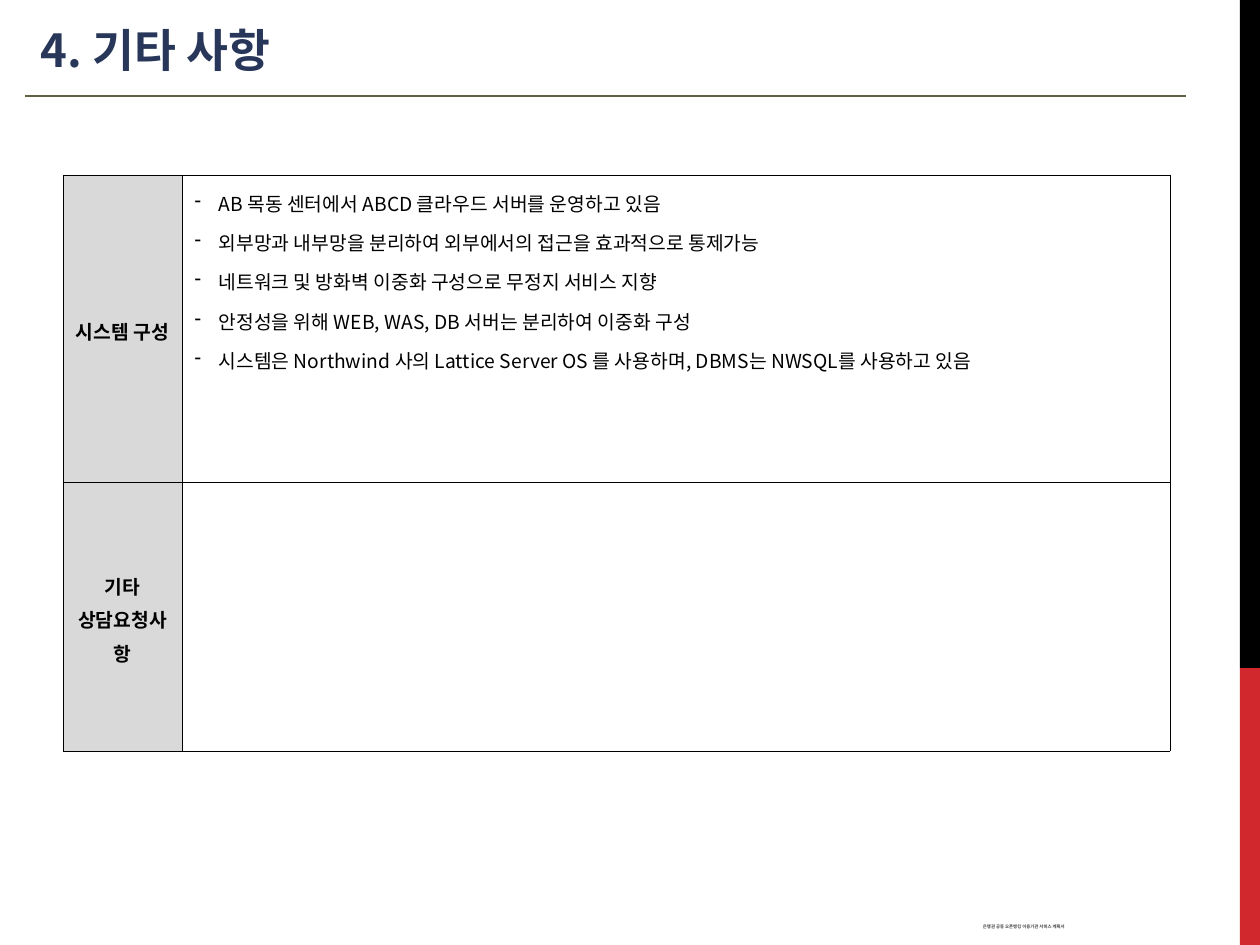
from dataclasses import dataclass

from lxml import etree
from pptx import Presentation
from pptx.dml.color import RGBColor
from pptx.enum.shapes import MSO_CONNECTOR, MSO_SHAPE
from pptx.enum.text import MSO_ANCHOR, PP_ALIGN
from pptx.oxml.ns import qn
from pptx.util import Pt

PX = 914400 // 126
TITLE_ONLY = 5
RECTANGLE = MSO_SHAPE.RECTANGLE
STRAIGHT = MSO_CONNECTOR.STRAIGHT
TOP, MIDDLE = MSO_ANCHOR.TOP, MSO_ANCHOR.MIDDLE
LEFT, CENTER, JUSTIFY = PP_ALIGN.LEFT, PP_ALIGN.CENTER, PP_ALIGN.JUSTIFY


@dataclass(frozen=True)
class Theme:
    """Colours, font and type sizes of the slide."""
    font: str = "Noto Sans CJK KR"
    navy: str = "283659"
    olive: str = "616042"
    red: str = "D1282E"
    black: str = "000000"
    white: str = "FFFFFF"
    label_fill: str = "D9D9D9"
    footer_gray: str = "404040"
    title_size: float = 26
    body_size: float = 11
    footer_size: float = 2.5
    rule_width: float = 0.75
    border_width: float = 0.45


THEME = Theme()
SYSTEM_ITEMS = [
    "AB 목동 센터에서 ABCD 클라우드 서버를 운영하고 있음",
    "외부망과 내부망을 분리하여 외부에서의 접근을 효과적으로 통제가능",
    "네트워크 및 방화벽 이중화 구성으로 무정지 서비스 지향",
    "안정성을 위해 WEB, WAS, DB 서버는 분리하여 이중화 구성",
    "시스템은 Northwind 사의 Lattice Server OS 를 사용하며, DBMS는 NWSQL를 사용하고 있음",
]
SECTIONS = [
    (["시스템 구성"], SYSTEM_ITEMS, 307),
    (["기타", "상담요청사항"], [], 269),
]
COLUMN_WIDTHS = (119, 988)


def px(*lengths):
    """Turn pixel lengths into EMU."""
    return [length * PX for length in lengths]


def rgb(color):
    """Return the colour object of a hex string."""
    return RGBColor.from_string(color)


def write(frame, lines, size=THEME.body_size, color=THEME.black, bold=False,
          align=LEFT, spacing=1.0, before=0, indent=0, hanging=0, bullet=None):
    """Write lines as formatted paragraphs of a text frame."""
    frame.word_wrap = True
    for index, line in enumerate(lines):
        paragraph = frame.paragraphs[0] if index == 0 else frame.add_paragraph()
        paragraph.alignment = align
        paragraph.line_spacing = spacing
        paragraph.space_before = Pt(before)
        properties = paragraph._p.get_or_add_pPr()
        properties.set("marL", str(indent * PX))
        properties.set("indent", str(-hanging * PX))
        if bullet:
            bullet_color = etree.SubElement(properties, qn("a:buClr"))
            etree.SubElement(bullet_color, qn("a:srgbClr"), val=color)
            etree.SubElement(properties, qn("a:buChar"), char=bullet)
        run = paragraph.add_run()
        run.text = line
        run.font.name = THEME.font
        run.font.size = Pt(size)
        run.font.bold = bold
        run.font.color.rgb = rgb(color)
        etree.SubElement(run._r.rPr, qn("a:ea"), typeface=THEME.font)


def add_bar(slide, top, height, color):
    """Add one block of the right edge strip."""
    bar = slide.shapes.add_shape(RECTANGLE, *px(1240, top, 20, height))
    bar.shadow.inherit = False
    bar.fill.solid()
    bar.fill.fore_color.rgb = rgb(color)
    bar.line.fill.background()


def add_title(slide, text):
    """Place and format the title."""
    title = slide.shapes.title
    title.left, title.top, title.width, title.height = px(15, 6, 1155, 87)
    title.text_frame.vertical_anchor = MIDDLE
    write(title.text_frame, [text], size=THEME.title_size, color=THEME.navy,
          bold=True, indent=13)


def add_rule(slide):
    """Add the line under the title."""
    rule = slide.shapes.add_connector(STRAIGHT, *px(25, 96, 1186, 96))
    rule.line.color.rgb = rgb(THEME.olive)
    rule.line.width = Pt(THEME.rule_width)
    etree.SubElement(rule._element.spPr, qn("a:effectLst"))


def style_cell(cell, color):
    """Give a cell thin borders on all sides and a fill."""
    properties = cell._tc.get_or_add_tcPr()
    for side in ("lnL", "lnR", "lnT", "lnB"):
        border = etree.SubElement(properties, qn(f"a:{side}"),
                                  w=str(int(Pt(THEME.border_width))))
        fill = etree.SubElement(border, qn("a:solidFill"))
        etree.SubElement(fill, qn("a:srgbClr"), val=THEME.black)
    cell.fill.solid()
    cell.fill.fore_color.rgb = rgb(color)


def add_section_table(slide):
    """Add the table of section labels and their items."""
    total_height = sum(height for _, _, height in SECTIONS)
    table = slide.shapes.add_table(
        len(SECTIONS), len(COLUMN_WIDTHS),
        *px(63, 175, sum(COLUMN_WIDTHS), total_height)).table
    table.first_row = table.horz_banding = False
    for column, width in zip(table.columns, COLUMN_WIDTHS):
        column.width = width * PX
    for row, (labels, items, height) in zip(table.rows, SECTIONS):
        row.height = height * PX
        label_cell, item_cell = row.cells
        style_cell(label_cell, THEME.label_fill)
        style_cell(item_cell, THEME.white)
        label_cell.vertical_anchor = MIDDLE
        item_cell.vertical_anchor = TOP
        item_cell.margin_top = 8 * PX
        write(label_cell.text_frame, labels, bold=True, align=CENTER, spacing=1.2)
        write(item_cell.text_frame, items, align=JUSTIFY, spacing=1.2,
              before=3.4, indent=24, hanging=24, bullet="-")


def add_footer(slide, text):
    """Add the document name at the bottom."""
    footer = slide.shapes.add_textbox(*px(799, 918, 437, 18)).text_frame
    footer.vertical_anchor = MIDDLE
    write(footer, [text], size=THEME.footer_size, color=THEME.footer_gray,
          bold=True, align=CENTER, spacing=0.8, indent=13)


def main():
    """Build and save the slide."""
    deck = Presentation()
    deck.slide_width, deck.slide_height = px(1260, 945)
    slide = deck.slides.add_slide(deck.slide_layouts[TITLE_ONLY])
    add_bar(slide, 668, 277, THEME.red)
    add_bar(slide, 0, 668, THEME.black)
    add_title(slide, "4. 기타 사항")
    add_rule(slide)
    add_section_table(slide)
    add_footer(slide, "은행권 공동 오픈뱅킹 이용기관 서비스 계획서")
    deck.save("out.pptx")


if __name__ == "__main__":
    main()
